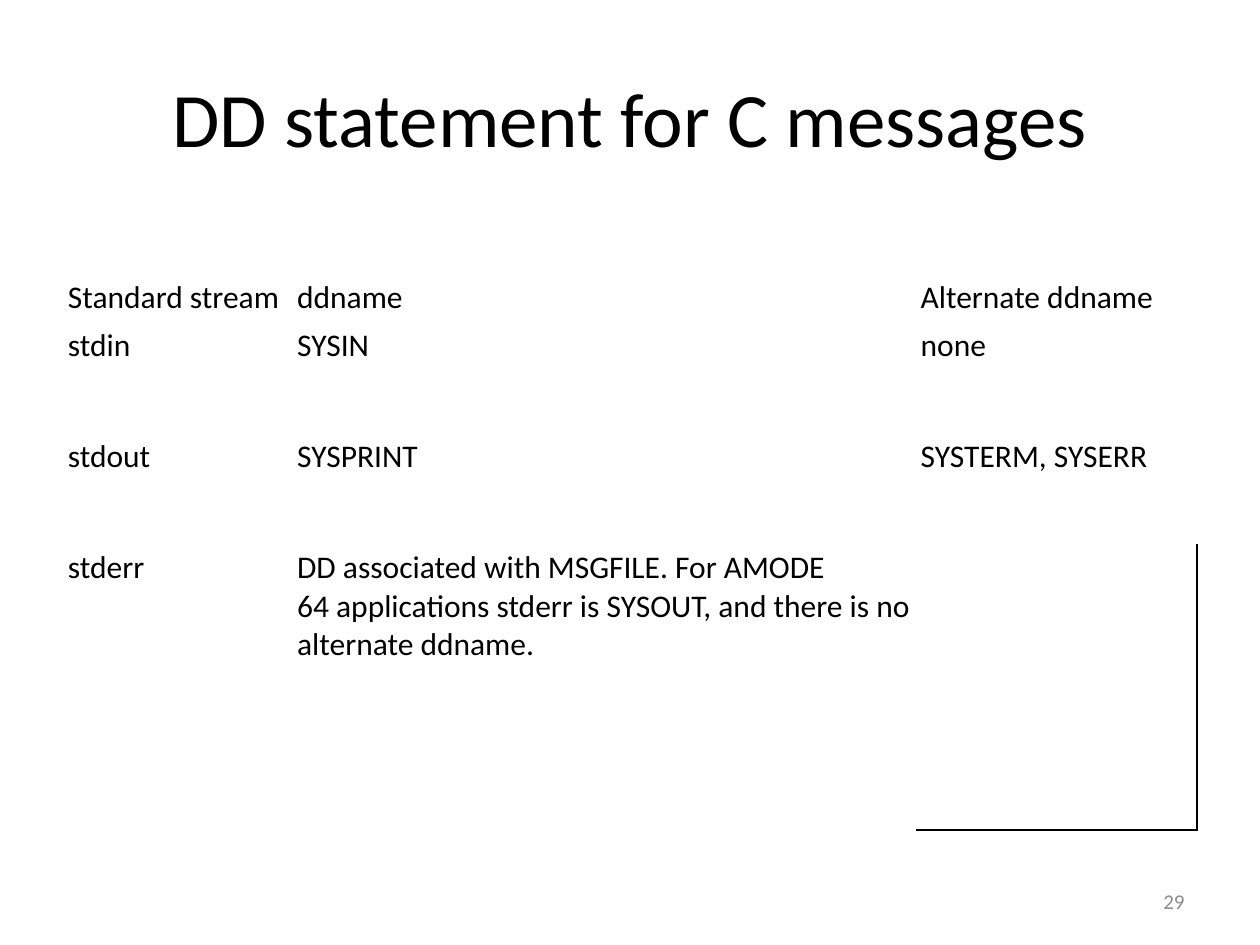
from lxml.etree import SubElement
from pptx import Presentation
from pptx.dml.color import RGBColor
from pptx.enum.text import MSO_ANCHOR as Anchor, PP_ALIGN as Align
from pptx.oxml.ns import qn
from pptx.util import Cm, Pt

FONT = "Calibri"
BLACK, GRAY = "000000", "8C8C8C"
NO_STYLE = "{2D5ABB26-0587-4C30-8999-92F81FD0307C}"
COLUMN_WIDTHS = (4.62, 12.57, 5.67)
ROW_HEIGHTS = (2.24, 2.24, 2.24, 5.77)
STREAMS = (
    ("Standard stream", "ddname", "Alternate ddname"),
    ("stdin", "SYSIN", "none"),
    ("stdout", "SYSPRINT", "SYSTERM, SYSERR"),
    ("stderr",
     "DD associated with\u00a0MSGFILE. For\u00a0AMODE 64\u00a0applications"
     "\u00a0stderr\u00a0is\u00a0SYSOUT, and there is no alternate ddname.", ""),
)


def color(value):
    """Turn a hex string into a colour."""
    return RGBColor.from_string(value)


def add_run(paragraph, text, size, ink=BLACK):
    """Append one formatted run to a paragraph."""
    run = paragraph.add_run()
    run.text = text
    run.font.name = FONT
    run.font.size = Pt(size)
    run.font.color.rgb = color(ink)


def add_text(slide, box, text, size, align, ink=BLACK):
    """Place a vertically centred line of text in a box given in cm."""
    frame = slide.shapes.add_textbox(*map(Cm, box)).text_frame
    frame.word_wrap = True
    frame.vertical_anchor = Anchor.MIDDLE
    paragraph = frame.paragraphs[0]
    paragraph.alignment = align
    add_run(paragraph, text, size, ink)


def add_borders(cell, sides, width=1):
    """Draw black lines on the named sides of a cell."""
    properties = cell._tc.get_or_add_tcPr()
    for position, side in enumerate(sides):
        line = properties.makeelement(qn(f"a:{side}"), {"w": str(Pt(width))})
        fill = SubElement(line, qn("a:solidFill"))
        SubElement(fill, qn("a:srgbClr"), val=BLACK)
        properties.insert(position, line)


def add_stream_table(slide, box):
    """Place the table of streams and ddnames in a box given in cm."""
    frame = slide.shapes.add_table(len(STREAMS), len(STREAMS[0]), *map(Cm, box))
    table = frame.table
    table.first_row = table.horz_banding = False
    table._tbl.tblPr.find(qn("a:tableStyleId")).text = NO_STYLE
    for column, width in zip(table.columns, COLUMN_WIDTHS):
        column.width = Cm(width)
    for row, height, texts in zip(table.rows, ROW_HEIGHTS, STREAMS):
        row.height = Cm(height)
        for cell, text in zip(row.cells, texts):
            cell.margin_left = cell.margin_right = Cm(0.1)
            cell.margin_top = cell.margin_bottom = Cm(0.1)
            cell.vertical_anchor = Anchor.BOTTOM if texts is STREAMS[0] else Anchor.TOP
            cell.fill.background()
            if text:
                add_run(cell.text_frame.paragraphs[0], text, 18)
    add_borders(table.cell(len(STREAMS) - 1, len(STREAMS[0]) - 1), ("lnR", "lnB"))


def build_slide(presentation):
    """Add the slide with its title, table and page number."""
    slide = presentation.slides.add_slide(presentation.slide_layouts[6])
    slide.background.fill.solid()
    slide.background.fill.fore_color.rgb = color("FFFFFF")
    add_text(slide, (1.27, 0.76, 22.86, 3.18), "DD statement for C messages", 44, Align.CENTER)
    add_stream_table(slide, (1.27, 4.24, sum(COLUMN_WIDTHS), sum(ROW_HEIGHTS)))
    add_text(slide, (18.2, 17.65, 5.93, 1.02), "29", 12, Align.RIGHT, GRAY)


presentation = Presentation()
presentation.slide_width = Cm(25.4)
presentation.slide_height = Cm(19.05)
build_slide(presentation)
presentation.save("out.pptx")
